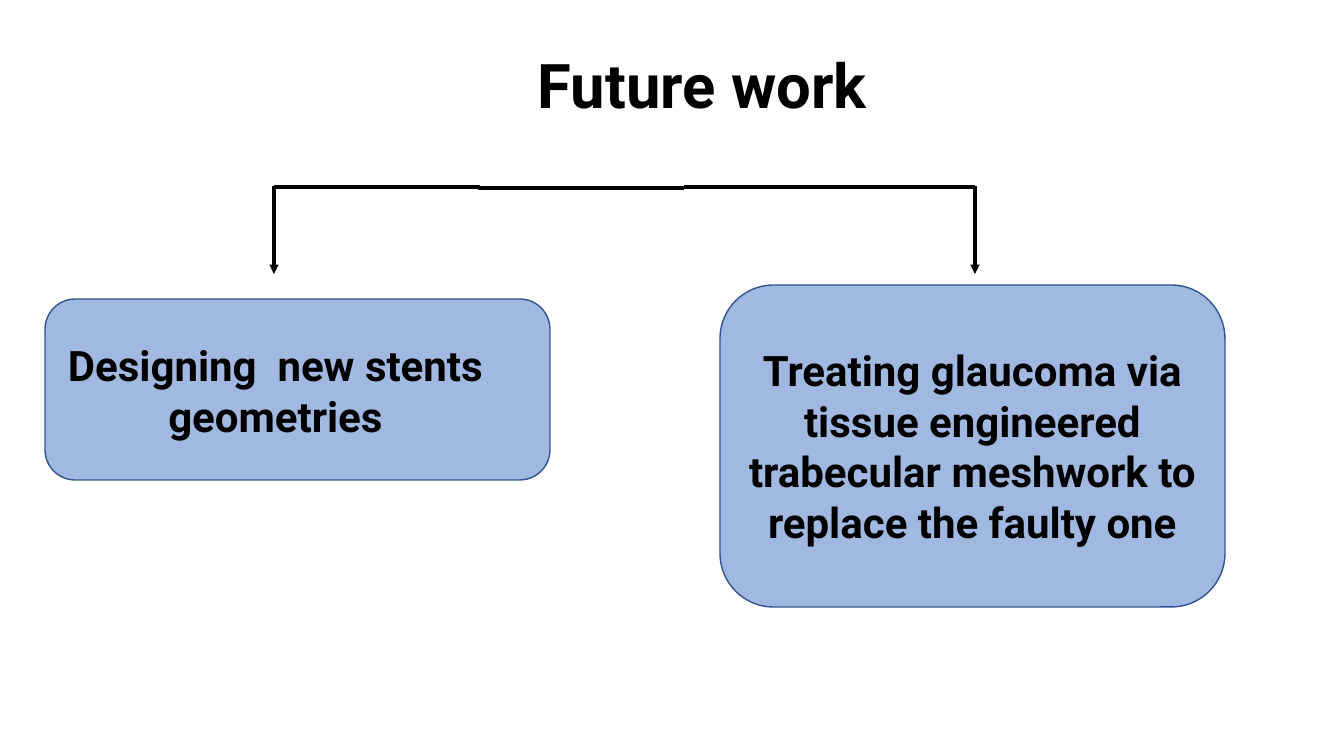
"""Build the future work slide: a title branching to two boxed ideas."""
from lxml.etree import SubElement
from pptx import Presentation
from pptx.dml.color import RGBColor
from pptx.enum.shapes import MSO_CONNECTOR, MSO_SHAPE
from pptx.enum.text import MSO_ANCHOR, PP_ALIGN
from pptx.oxml.ns import qn
from pptx.util import Pt

BLACK = RGBColor(0x00, 0x00, 0x00)
BLUE = RGBColor(0x44, 0x72, 0xC4)
NAVY = RGBColor(0x31, 0x53, 0x8F)
FONT = "Roboto"
SCALE = 914400 / 100.8

TITLE = ("Future work", (123, 26, 1159, 125), 44)
IDEAS = [
    ("Designing  new stents geometries", (45, 299, 505, 181), (23, 335, 505, 112)),
    ("Treating glaucoma via tissue engineered trabecular meshwork to replace the faulty one",
     (720, 285, 505, 322), (720, 340, 505, 214)),
]
STEM, RAIL, TIP = 684, 187, 274
DROPS = [274, 975]


def px(*nums):
    return [round(n * SCALE) for n in nums]


def add_text(slide, text, area, size, anchor=MSO_ANCHOR.TOP, space=1.0):
    frame = slide.shapes.add_textbox(*px(*area)).text_frame
    frame.word_wrap = True
    frame.vertical_anchor = anchor
    para = frame.paragraphs[0]
    para.alignment = PP_ALIGN.CENTER
    para.line_spacing = space
    run = para.add_run()
    run.text = text
    font = run.font
    font.name, font.size, font.bold = FONT, Pt(size), True
    font.color.rgb = BLACK


def add_box(slide, area):
    box = slide.shapes.add_shape(MSO_SHAPE.ROUNDED_RECTANGLE, *px(*area))
    box.shadow.inherit = False
    box.fill.solid()
    box.fill.fore_color.rgb = BLUE
    tint = box.fill._xPr.find(qn("a:solidFill"))[0]
    SubElement(tint, qn("a:alpha"), val="50000")
    box.line.color.rgb = NAVY
    box.line.width = Pt(1)


def add_line(slide, ends, kind=MSO_CONNECTOR.STRAIGHT, arrow=False):
    line = slide.shapes.add_connector(kind, *px(*ends))
    line.line.color.rgb = BLACK
    line.line.width = Pt(2.25)
    if arrow:
        SubElement(line.line._get_or_add_ln(), qn("a:tailEnd"), type="triangle")
    SubElement(line._element.spPr, qn("a:effectLst"))


def main():
    deck = Presentation()
    deck.slide_width, deck.slide_height = px(1344, 756)
    slide = deck.slides.add_slide(deck.slide_layouts[6])
    text, area, size = TITLE
    add_text(slide, text, area, size, MSO_ANCHOR.MIDDLE, 0.9)
    left, right = DROPS
    add_line(slide, (STEM, RAIL + 1, left, RAIL), MSO_CONNECTOR.ELBOW)
    add_line(slide, (STEM, RAIL, right, RAIL))
    for drop in DROPS:
        add_line(slide, (drop, RAIL - 1, drop, TIP), arrow=True)
    for text, box, area in IDEAS:
        add_box(slide, box)
        add_text(slide, text, area, 30)
    deck.save("out.pptx")


if __name__ == "__main__":
    main()
